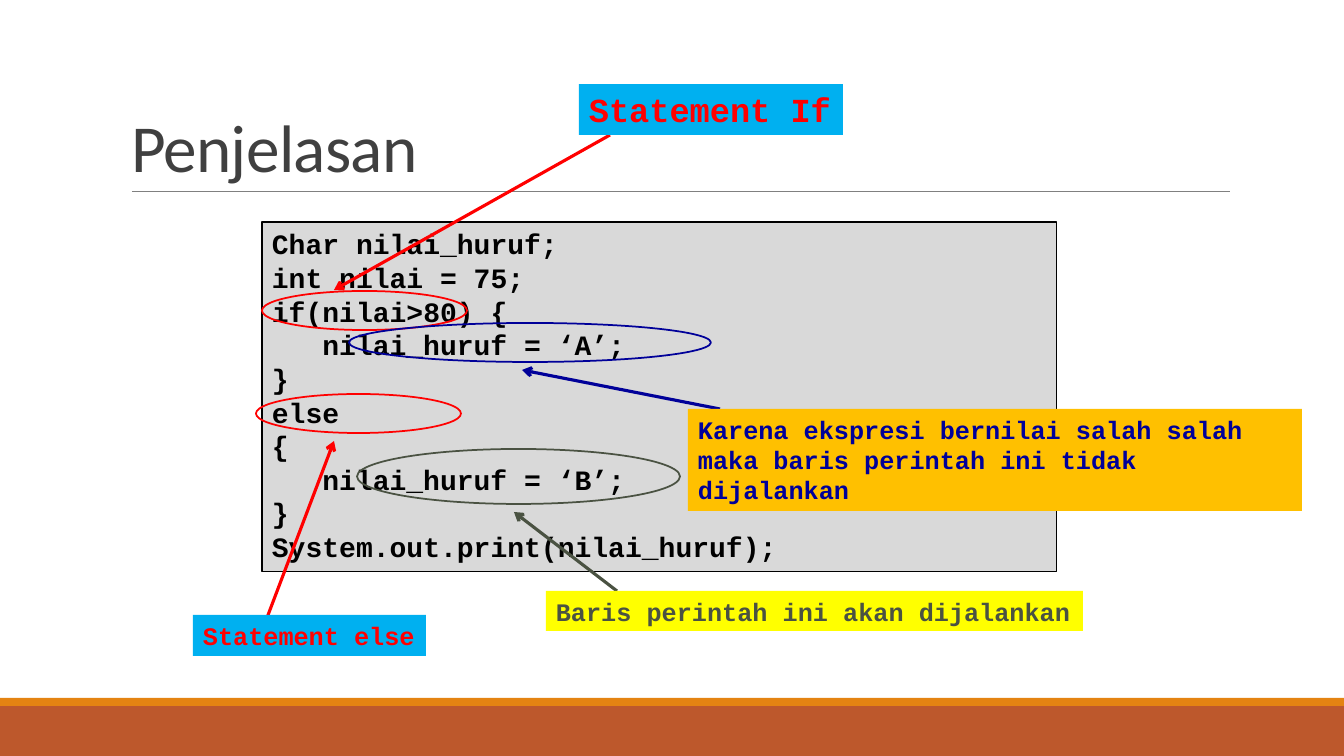
from lxml import etree
from pptx import Presentation
from pptx.dml.color import RGBColor
from pptx.enum import shapes, text
from pptx.oxml import ns
from pptx.util import Pt

PX = 914400 / 100.8
COLORS = {
    "rust": "BD582C", "orange": "E48312", "rule": "808080", "title": "404040",
    "code": "D9D9D9", "black": "000000", "red": "FF0000", "navy": "000099",
    "olive": "4A5242", "blue": "00B0F0", "amber": "FFC000", "yellow": "FFFF00",
}
RECT, OVAL = shapes.MSO_SHAPE.RECTANGLE, shapes.MSO_SHAPE.OVAL


def add_shape(kind, box, fill=None, line=None, width=1.25):
    """Add a preset shape in a pixel box, with optional fill and outline."""
    sp = s.shapes.add_shape(kind, *[round(v * PX) for v in box])
    sp.shadow.inherit = False
    for part, color in ((sp.fill, fill), (sp.line.fill, line)):
        if color:
            part.solid()
            part.fore_color.rgb = RGBColor.from_string(COLORS[color])
        else:
            part.background()
    if line:
        sp.line.width = Pt(width)
    return sp


def write(sp, lines, size, color, wrap=True):
    """Write bold, left-aligned code lettering from the top of a shape."""
    tf = sp.text_frame
    tf.word_wrap = wrap
    tf.vertical_anchor = text.MSO_ANCHOR.TOP
    tf.text = "\n".join(lines)
    for p in tf.paragraphs:
        tabs = etree.SubElement(p._p.get_or_add_pPr(), ns.qn("a:tabLst"))
        etree.SubElement(tabs, ns.qn("a:tab"), pos="457200", algn="l")
        p.alignment = text.PP_ALIGN.LEFT
        p.font.name, p.font.size, p.font.bold = "Courier New", Pt(size), True
        p.font.color.rgb = RGBColor.from_string(COLORS[color])


prs = Presentation()
prs.slide_width, prs.slide_height = round(1344 * PX), round(756 * PX)
s = prs.slides.add_slide(prs.slide_layouts[5])

# Footer bands
add_shape(RECT, (0, 706, 1344, 50), "rust")
add_shape(RECT, (0, 698, 1344, 8), "orange")

# Title
title = s.shapes.title
title.left, title.top, title.width, title.height = [
    round(v * PX) for v in (121, 31, 1109, 160)]
tf = title.text_frame
tf.text = "Penjelasan"
tf.auto_size = text.MSO_AUTO_SIZE.NONE
tf.vertical_anchor = text.MSO_ANCHOR.BOTTOM
p = tf.paragraphs[0]
p.alignment, p.line_spacing = text.PP_ALIGN.LEFT, 0.85
p.font.name, p.font.size = "Calibri", Pt(48)
p.font.color.rgb = RGBColor.from_string(COLORS["title"])
p.font._rPr.set("spc", "-50")

# Code listing
code = add_shape(RECT, (262, 222, 795, 350), "code", "black", 0.75)
write(code, [
    "Char nilai_huruf;",
    "int nilai = 75;",
    "if(nilai>80) {",
    "\tnilai_huruf = ‘A’;",
    "}",
    "else",
    "{",
    "\tnilai_huruf = ‘B’;",
    "}",
    "System.out.print(nilai_huruf);",
], 20, "black")

# Rings around the explained code
for box, color in [
    ((262, 291, 205, 39), "red"),
    ((349, 323, 362, 39), "navy"),
    ((357, 449, 323, 55), "olive"),
    ((256, 394, 205, 39), "red"),
]:
    add_shape(OVAL, box, line=color)

# Title rule and callout arrows
for ends, color, width in [
    ((132, 191, 1230, 191), "rule", 0.5),
    ((610, 135, 334, 290), "red", 2.25),
    ((720, 409, 522, 370), "navy", 2.25),
    ((617, 591, 514, 512), "olive", 2.25),
    ((262, 631, 334, 441), "red", 2.25),
]:
    line = s.shapes.add_connector(
        shapes.MSO_CONNECTOR.STRAIGHT, *[round(v * PX) for v in ends])
    line.line.color.rgb = RGBColor.from_string(COLORS[color])
    line.line.width = Pt(width)
    if color != "rule":
        etree.SubElement(line.line._get_or_add_ln(), ns.qn("a:tailEnd"), type="arrow")
    etree.SubElement(line._element.spPr, ns.qn("a:effectLst"))

# Callout labels
for box, fill, label, size, color, wrap in [
    ((579, 84, 264, 51), "blue", "Statement If", 24, "red", False),
    ((688, 409, 614, 102), "amber",
     "Karena ekspresi bernilai salah salah maka baris perintah ini tidak dijalankan",
     18, "navy", True),
    ((546, 591, 537, 40), "yellow",
     "Baris perintah ini akan dijalankan", 18, "olive", False),
    ((193, 615, 233, 41), "blue", "Statement else", 18, "red", False),
]:
    write(add_shape(RECT, box, fill), [label], size, color, wrap)

prs.save("out.pptx")
